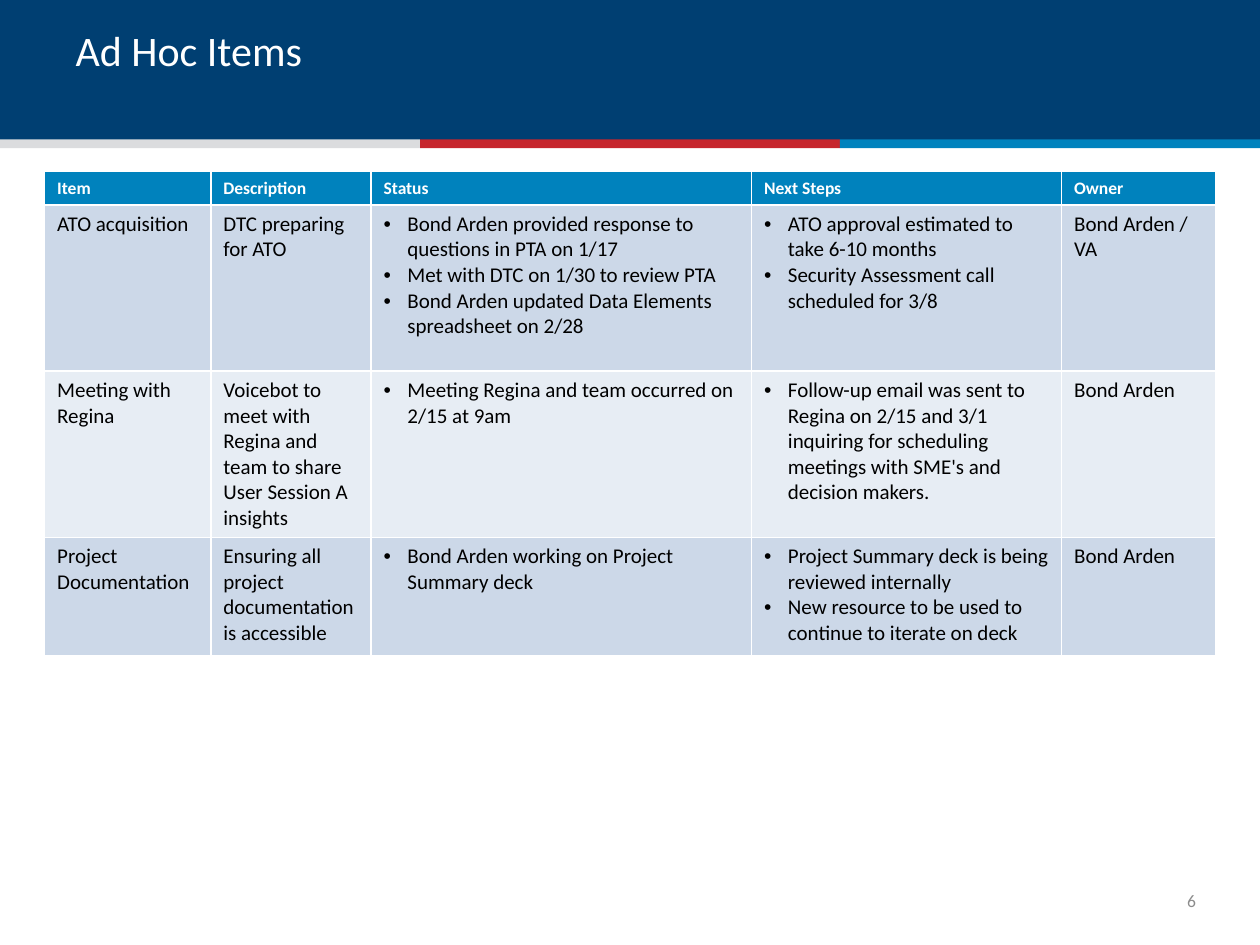
from lxml import etree
from pptx import Presentation
from pptx.dml.color import RGBColor
from pptx.enum.shapes import MSO_SHAPE
from pptx.enum.text import MSO_ANCHOR, MSO_AUTO_SIZE, PP_ALIGN
from pptx.oxml.ns import qn
from pptx.util import Cm, Pt

RECTANGLE = MSO_SHAPE.RECTANGLE
TOP, MIDDLE = MSO_ANCHOR.TOP, MSO_ANCHOR.MIDDLE
LEFT, RIGHT = PP_ALIGN.LEFT, PP_ALIGN.RIGHT
NO_AUTOFIT = MSO_AUTO_SIZE.NONE

FONT = "Calibri"
NAVY = RGBColor(0x00, 0x3F, 0x72)
SILVER = RGBColor(0xDB, 0xDC, 0xDE)
RED = RGBColor(0xC6, 0x26, 0x2D)
BLUE = RGBColor(0x00, 0x82, 0xBD)
WHITE = RGBColor(0xFF, 0xFF, 0xFF)
BLACK = RGBColor(0x00, 0x00, 0x00)
GRAY = RGBColor(0x8C, 0x8C, 0x8C)
DARK_ROW = RGBColor(0xCC, 0xD8, 0xE8)
LIGHT_ROW = RGBColor(0xE7, 0xED, 0xF4)

TITLE = "Ad Hoc Items"
PAGE_NUMBER = "6"
HEADERS = ["Item", "Description", "Status", "Next Steps", "Owner"]
ITEMS = [
    ["ATO acquisition", "DTC preparing for ATO",
     ["Bond Arden provided response to questions in PTA on 1/17",
      "Met with DTC on 1/30 to review PTA",
      "Bond Arden updated Data Elements spreadsheet on 2/28"],
     ["ATO approval estimated to take 6-10 months",
      "Security Assessment call scheduled for 3/8"],
     "Bond Arden / VA"],
    ["Meeting with Regina",
     "Voicebot to meet with Regina and team to share User Session A insights",
     ["Meeting Regina and team occurred on 2/15 at 9am"],
     ["Follow-up email was sent to Regina on 2/15 and 3/1 inquiring for "
      "scheduling meetings with SME's and decision makers."],
     "Bond Arden"],
    ["Project Documentation", "Ensuring all project documentation is accessible",
     ["Bond Arden working on Project Summary deck"],
     ["Project Summary deck is being reviewed internally",
      "New resource to be used to continue to iterate on deck"],
     "Bond Arden"],
]
COLUMN_WIDTHS = [3.35, 3.23, 7.67, 6.25, 3.1]
ROW_HEIGHTS = [0.68, 3.35, 3.35, 2.38]
STRIPES = [SILVER, RED, BLUE]
SLIDE_WIDTH, SLIDE_HEIGHT = 25.4, 19.05
INDENT = Cm(0.48)


def write_text(frame, text, size=12, color=BLACK, bold=False, align=LEFT):
    bulleted = isinstance(text, list)
    for index, line in enumerate(text if bulleted else [text]):
        paragraph = frame.add_paragraph() if index else frame.paragraphs[0]
        paragraph.alignment = align
        if bulleted:
            properties = paragraph._p.get_or_add_pPr()
            properties.set("marL", str(INDENT))
            properties.set("indent", str(-INDENT))
            etree.SubElement(properties, qn("a:buFont")).set("typeface", "Arial")
            etree.SubElement(properties, qn("a:buChar")).set("char", "•")
        run = paragraph.add_run()
        run.text = line
        run.font.name = FONT
        run.font.size = Pt(size)
        run.font.bold = bold
        run.font.color.rgb = color


def add_band(slide, left, top, width, height, color):
    band = slide.shapes.add_shape(RECTANGLE, Cm(left), Cm(top), Cm(width), Cm(height))
    band.shadow.inherit = False
    band.fill.solid()
    band.fill.fore_color.rgb = color
    band.line.fill.background()


def add_header(slide):
    add_band(slide, 0, 0, SLIDE_WIDTH, 2.9, NAVY)
    stripe_width = SLIDE_WIDTH / len(STRIPES)
    for index, color in enumerate(STRIPES):
        add_band(slide, index * stripe_width, 2.81, stripe_width, 0.18, color)
    title = slide.shapes.title
    slide.shapes._spTree.append(title._element)
    title.left, title.top, title.width, title.height = Cm(1.27), Cm(0.36), Cm(22.86), Cm(2.26)
    title.text_frame.auto_size = NO_AUTOFIT
    title.text_frame.vertical_anchor = TOP
    write_text(title.text_frame, TITLE, size=24, color=WHITE)


def add_page_number(slide):
    box = slide.shapes.add_textbox(Cm(23.42), Cm(17.65), Cm(0.69), Cm(1.02))
    frame = box.text_frame
    frame.word_wrap = True
    frame.margin_left = frame.margin_right = frame.margin_top = frame.margin_bottom = 0
    frame.vertical_anchor = MIDDLE
    write_text(frame, PAGE_NUMBER, size=10, color=GRAY, align=RIGHT)


def add_items_table(slide):
    rows = [HEADERS] + ITEMS
    table = slide.shapes.add_table(
        len(rows), len(HEADERS), Cm(0.9), Cm(3.45),
        Cm(sum(COLUMN_WIDTHS)), Cm(sum(ROW_HEIGHTS))).table
    for column, width in zip(table.columns, COLUMN_WIDTHS):
        column.width = Cm(width)
    for row_index, (row, height) in enumerate(zip(rows, ROW_HEIGHTS)):
        table.rows[row_index].height = Cm(height)
        is_header = row_index == 0
        row_color = BLUE if is_header else DARK_ROW if row_index % 2 else LIGHT_ROW
        text_format = {"size": 10, "color": WHITE, "bold": True} if is_header else {}
        for column_index, text in enumerate(row):
            cell = table.cell(row_index, column_index)
            cell.fill.solid()
            cell.fill.fore_color.rgb = row_color
            write_text(cell.text_frame, text, **text_format)


def main():
    presentation = Presentation()
    presentation.slide_width = Cm(SLIDE_WIDTH)
    presentation.slide_height = Cm(SLIDE_HEIGHT)
    slide = presentation.slides.add_slide(presentation.slide_layouts[5])
    add_header(slide)
    add_items_table(slide)
    add_page_number(slide)
    presentation.save("out.pptx")


if __name__ == "__main__":
    main()
